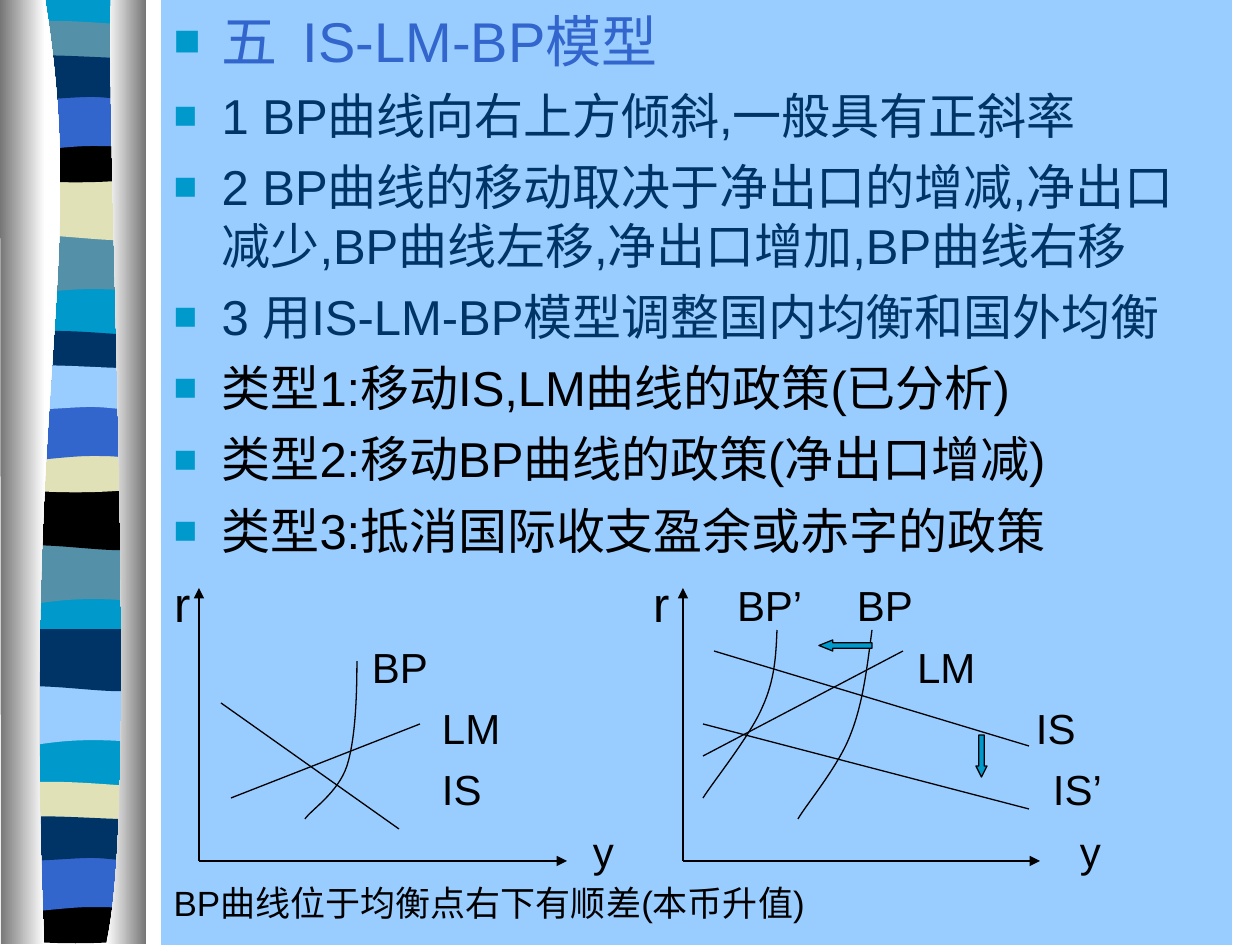
from lxml import etree
from pptx import Presentation
from pptx.dml.color import RGBColor
from pptx.enum.shapes import MSO_CONNECTOR, MSO_SHAPE
from pptx.enum.text import MSO_ANCHOR, MSO_AUTO_SIZE
from pptx.oxml.ns import qn
from pptx.util import Emu, Pt

STRAIGHT = MSO_CONNECTOR.STRAIGHT
DOWN_ARROW, LEFT_ARROW = MSO_SHAPE.DOWN_ARROW, MSO_SHAPE.LEFT_ARROW
TOP, NO_AUTOFIT = MSO_ANCHOR.TOP, MSO_AUTO_SIZE.NONE

CYAN = RGBColor(0x00, 0x99, 0xCC)
TEAL = RGBColor(0x54, 0x90, 0xA8)
SAND = RGBColor(0xE1, 0xE1, 0xB7)
BLUE = RGBColor(0x33, 0x66, 0xCC)
NAVY = RGBColor(0x00, 0x33, 0x66)
SKY = RGBColor(0x99, 0xCC, 0xFF)
GREY = RGBColor(0x76, 0x76, 0x76)
BLACK = RGBColor(0, 0, 0)
WHITE = RGBColor(255, 255, 255)

SCALE = 914400 / 126
PX_PER_POINT = 1.75
ASCENT = 0.905

BAND_OUTLINES = {
    "wave": [(144, 0), (144, 59), (49, 49, 30, 69, 8, 59), (8, 0)],
    "sag": [(144, 0), (144, 59), (121, 69, 49, 52, 8, 59), (8, 0)],
    "lens": [(144, 0), (144, 30), (121, 35, 30, 35, 8, 30), (8, 0),
             (15, -6, 37, -5, 59, -5), (82, -5, 126, -1, 144, 0)],
    "bowl": [(144, 0), (144, 41), (121, 48, 30, 48, 8, 41), (8, 0),
             (91, 6, 115, 0, 144, 0)],
    "arch": [(144, 0), (144, 59), (122, 53, 113, 53, 91, 53),
             (68, 53, 28, 59, 8, 59), (8, 0)],
    "ripple": [(144, 0), (144, 39), (135, 45, 113, 39, 91, 39),
               (68, 39, 21, 45, 8, 39), (8, 0),
               (26, -6, 100, 0, 122, 0), (145, 0, 139, 0, 144, 0)],
}
BAND_TOPS = {"wave": 233, "sag": 178, "lens": 26, "bowl": 136, "arch": 93, "ripple": 58}
BAND_GROUPS = [
    (0, {"wave": TEAL, "sag": SAND, "lens": TEAL, "bowl": BLACK, "arch": BLUE, "ripple": NAVY}),
    (310, {"wave": TEAL, "sag": BLACK, "lens": NAVY, "bowl": SAND, "arch": BLUE, "ripple": SKY}),
    (451, {"wave": SKY, "sag": NAVY}),
    (761, {"lens": SAND, "bowl": BLACK, "arch": BLUE, "ripple": NAVY}),
]

BULLETS = [
    ("五  IS-LM-BP模型", 32, BLUE),
    ("1 BP曲线向右上方倾斜,一般具有正斜率", 28, NAVY),
    ("2 BP曲线的移动取决于净出口的增减,净出口减少,BP曲线左移,净出口增加,BP曲线右移", 28, NAVY),
    ("3 用IS-LM-BP模型调整国内均衡和国外均衡", 28, NAVY),
    ("类型1:移动IS,LM曲线的政策(已分析)", 28, BLACK),
    ("类型2:移动BP曲线的政策(净出口增减)", 28, BLACK),
    ("类型3:抵消国际收支盈余或赤字的政策", 28, BLACK),
]
CAPTION = "BP曲线位于均衡点右下有顺差(本币升值)"
GRAPH_LABELS = [
    (618, [("r", 174, 28), ("r", 653, 28), ("BP’", 737, 24), ("BP", 857, 24)]),
    (680, [("BP", 372, 24), ("LM", 917, 24)]),
    (741, [("LM", 442, 24), ("IS", 1036, 24)]),
    (802, [("IS", 442, 24), ("IS’", 1053, 24)]),
    (864, [("y", 593, 24), ("y", 1080, 24)]),
]

AXES = [(199, 861, 199, 588), (199, 861, 567, 861), (683, 861, 683, 588), (683, 861, 1040, 861)]
CURVES = [(231, 798, 420, 724), (221, 703, 399, 829), (714, 651, 1029, 746),
          (703, 724, 1029, 809), (903, 651, 703, 756)]
BP_CURVES = [
    [(357, 661), (357, 701, 355, 741, 347, 766), (338, 793, 311, 810, 305, 819)],
    [(777, 630), (776, 655, 775, 680, 762, 708), (750, 736, 713, 782, 703, 798)],
    [(872, 630), (867, 668, 863, 704, 850, 736), (838, 767, 806, 805, 798, 819)],
]


def px(length):
    return Emu(round(length * SCALE))


def write(paragraph, text, size=28, color=BLACK, font="Arial"):
    run = paragraph.add_run()
    run.text = text
    run.font.size = Pt(size)
    run.font.name = font
    run.font.color.rgb = color


class Page:
    """Holds the slide and its drawing style."""

    def __init__(self, slide, line_color=BLACK, line_width=0.75):
        self.slide = slide
        self.shapes = slide.shapes
        self.line_color = line_color
        self.line_width = Pt(line_width)

    def stroke(self, shape):
        shape.line.color.rgb = self.line_color
        shape.line.width = self.line_width

    def outline(self, segments, top=0, closed=True):
        ends = [(px(part[-2]), px(part[-1] + top)) for part in segments]
        builder = self.shapes.build_freeform(*ends[0], scale=1.0)
        builder.add_line_segments(ends[1:], close=closed)
        shape = builder.convert_to_shape()
        shape.shadow.inherit = False
        edges = list(shape._element.iter(qn("a:lnTo")))
        for edge, part in zip(edges, segments[1:]):
            if len(part) == 6:
                edge.tag = qn("a:cubicBezTo")
                for x, y in ((part[2], part[3]), (part[0], part[1])):
                    edge.insert(0, edge.makeelement(qn("a:pt"), {
                        "x": str(px(x) - shape.left), "y": str(px(y + top) - shape.top)}))
        return shape

    def band(self, segments, color, top=0):
        shape = self.outline(segments, top)
        shape.fill.solid()
        shape.fill.fore_color.rgb = color
        shape.line.fill.background()

    def column(self, segments, left_color, right_color):
        shape = self.outline(segments)
        shape.fill.gradient()
        shape.fill.gradient_angle = 0
        for stop, color in zip(shape.fill.gradient_stops, (left_color, right_color)):
            stop.color.rgb = color
        shape.line.fill.background()

    def curve(self, segments):
        shape = self.outline(segments, closed=False)
        shape.fill.background()
        self.stroke(shape)

    def line(self, x1, y1, x2, y2, arrow=False):
        connector = self.shapes.add_connector(STRAIGHT, px(x1), px(y1), px(x2), px(y2))
        self.stroke(connector)
        if arrow:
            etree.SubElement(connector.line._get_or_add_ln(), qn("a:tailEnd"), type="triangle")
        etree.SubElement(connector._element.spPr, qn("a:effectLst"))

    def block_arrow(self, kind, left, top, width, height, head):
        shape = self.shapes.add_shape(kind, px(left), px(top), px(width), px(height))
        shape.adjustments[0], shape.adjustments[1] = 0.5, head
        shape.shadow.inherit = False
        shape.fill.solid()
        shape.fill.fore_color.rgb = CYAN
        self.stroke(shape)

    def body(self, left, top, width, height):
        panel = self.slide.placeholders[1]
        panel.left, panel.top, panel.width, panel.height = map(px, (left, top, width, height))
        panel.fill.solid()
        panel.fill.fore_color.rgb = SKY
        frame = panel.text_frame
        frame.word_wrap, frame.auto_size, frame.vertical_anchor = True, NO_AUTOFIT, TOP
        for index, (text, size, color) in enumerate(BULLETS):
            paragraph = frame.add_paragraph() if index else frame.paragraphs[0]
            self.bullet(paragraph)
            write(paragraph, text, size=size, color=color)
        caption = frame.add_paragraph()
        caption.space_before = Pt(184.5)
        props = caption._p.get_or_add_pPr()
        props.set("marL", "0")
        props.set("indent", "0")
        etree.SubElement(props, qn("a:buNone"))
        write(caption, CAPTION, size=20)

    def bullet(self, paragraph):
        paragraph.space_before = Pt(7)
        props = paragraph._p.get_or_add_pPr()
        props.set("marL", str(px(48)))
        props.set("indent", str(-px(48)))
        tint = etree.SubElement(props, qn("a:buClr"))
        etree.SubElement(tint, qn("a:srgbClr"), val=str(CYAN))
        etree.SubElement(props, qn("a:buSzPct"), val="80000")
        etree.SubElement(props, qn("a:buFont"), typeface="Arial")
        etree.SubElement(props, qn("a:buChar"), char="■")

    def label(self, text, left, baseline, size):
        top = baseline - ASCENT * size * PX_PER_POINT
        box = self.shapes.add_textbox(px(left), px(top), px(80), px(size * 2))
        frame = box.text_frame
        frame.word_wrap = True
        frame.margin_left = frame.margin_right = frame.margin_top = frame.margin_bottom = 0
        write(frame.paragraphs[0], text, size=size)


def main():
    deck = Presentation()
    deck.slide_width, deck.slide_height = px(1260), px(945)
    slide = deck.slides.add_slide(deck.slide_layouts[1])
    heading = slide.shapes.title._element
    heading.getparent().remove(heading)
    page = Page(slide)
    page.body(161, 0, 1071, 945)
    page.band([(8, 0), (144, 0), (144, 941), (8, 941)], CYAN)
    for shift, colors in BAND_GROUPS:
        for name, color in colors.items():
            page.band(BAND_OUTLINES[name], color, BAND_TOPS[name] + shift)
    page.column([(45, 0), (89, 272, 21, 373, 44, 944), (1, 944), (0, 0)], GREY, WHITE)
    page.column([(111, 0), (106, 158, 140, 814, 106, 944), (146, 944), (146, 0)], WHITE, GREY)
    for axis in AXES:
        page.line(*axis, arrow=True)
    for curve in CURVES:
        page.line(*curve)
    for curve in BP_CURVES:
        page.curve(curve)
    page.block_arrow(DOWN_ARROW, 976, 735, 11, 42, head=1)
    page.block_arrow(LEFT_ARROW, 819, 640, 53, 11, head=1.25)
    for baseline, labels in GRAPH_LABELS:
        for text, left, size in labels:
            page.label(text, left, baseline, size)
    deck.save("out.pptx")


if __name__ == "__main__":
    main()
